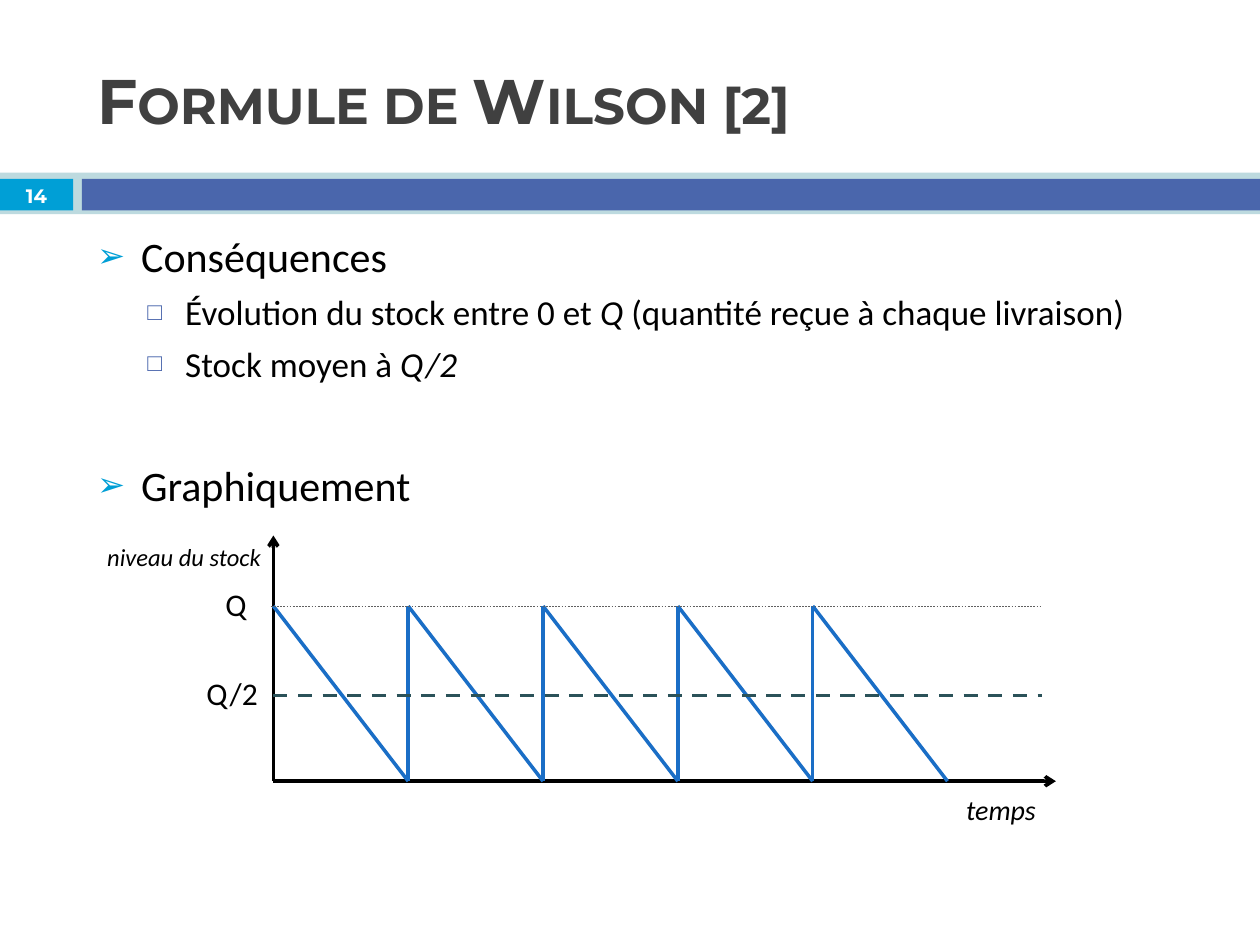
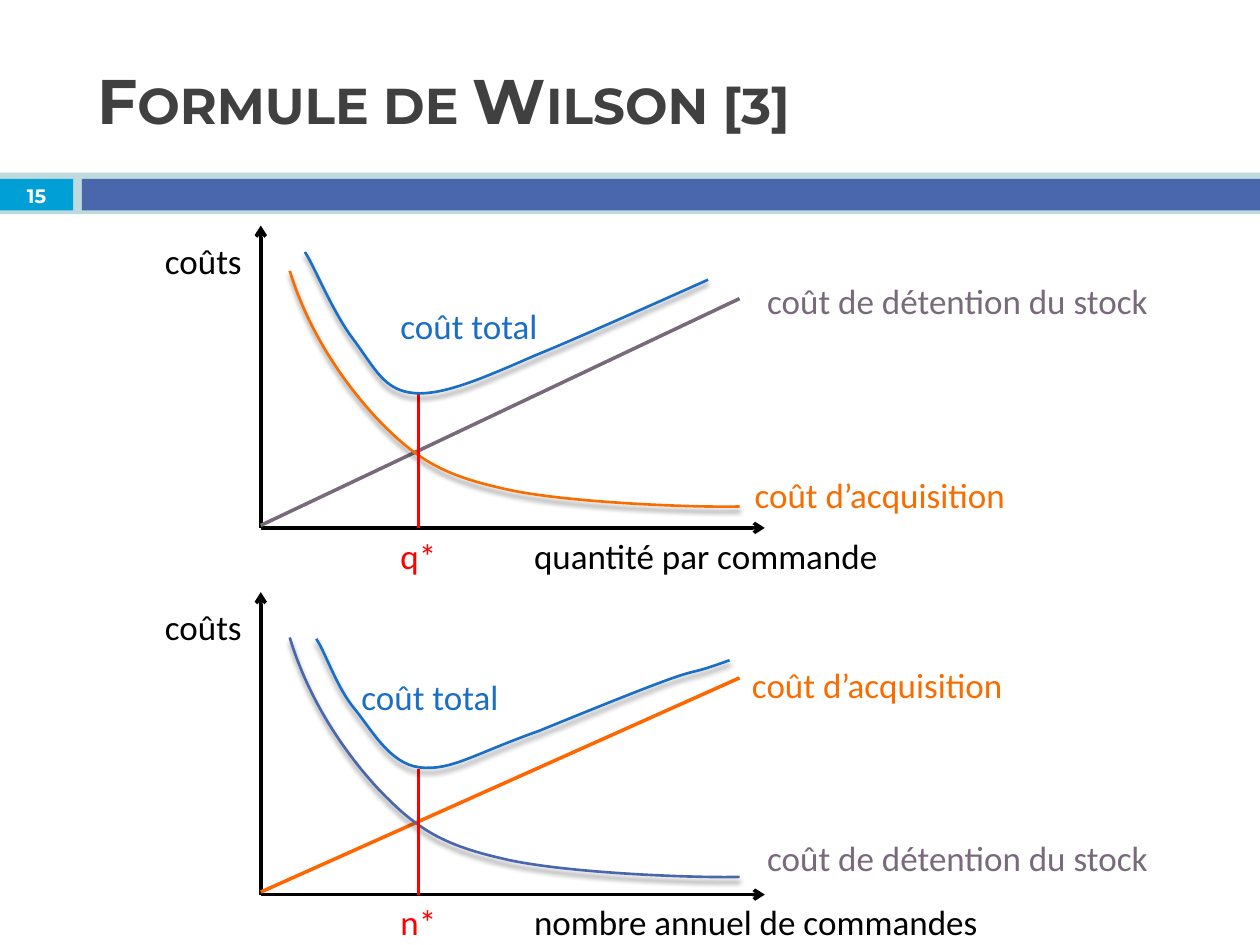
from lxml import etree
from pptx import Presentation
from pptx.dml.color import RGBColor
from pptx.enum.dml import MSO_LINE
from pptx.enum.shapes import MSO_CONNECTOR, MSO_SHAPE
from pptx.enum.text import MSO_ANCHOR, MSO_AUTO_SIZE, PP_ALIGN
from pptx.oxml.ns import qn
from pptx.util import Inches, Pt

DASH = MSO_LINE.DASH
STRAIGHT = MSO_CONNECTOR.STRAIGHT
RECTANGLE = MSO_SHAPE.RECTANGLE
MIDDLE = MSO_ANCHOR.MIDDLE
LEFT, CENTER, RIGHT = PP_ALIGN.LEFT, PP_ALIGN.CENTER, PP_ALIGN.RIGHT
NO_FIT, GROW = MSO_AUTO_SIZE.NONE, MSO_AUTO_SIZE.SHAPE_TO_FIT_TEXT
TITLE_AND_CONTENT, TITLE_ONLY = 1, 5

COLORS = {
    "band": "BDDADF", "cyan": "009FD6", "indigo": "4A66AC", "title": "404040",
    "white": "FFFFFF", "black": "000000", "blue": "1A6EC6", "teal": "2B5259",
    "gray": "606060", "orange": "F76D00", "bright_orange": "FF6600",
    "mauve": "78697B", "red": "FF0000",
}
BANDS = [
    (0, 1.37, 10, 0.33, "band"),
    (0, 1.42, 0.58, 0.25, "cyan"),
    (0.65, 1.42, 9.35, 0.25, "indigo"),
]
LEVELS = [
    {"bullet": "➢", "color": "cyan", "percent": 80, "size": 24,
     "margin": 0.35, "indent": -0.35, "before": 7},
    {"bullet": "□", "color": "indigo", "percent": 70, "size": 20,
     "margin": 0.7, "indent": -0.3, "before": 5.5},
]


def rgb(name):
    return RGBColor.from_string(COLORS[name])


def add_xml(parent, tag, **attributes):
    values = {key: str(value) for key, value in attributes.items()}
    return etree.SubElement(parent, qn(tag), values)


class Deck:
    """Hold the shared style and the slide being drawn."""

    def __init__(self):
        self.presentation = Presentation()
        self.presentation.slide_width = Inches(10)
        self.presentation.slide_height = Inches(7.5)
        self.slide = None
        self.shapes = None

    def format_run(self, run, size, color, font="Calibri", bold=False, italic=False):
        run.font.name = font
        run.font.size = Pt(size)
        run.font.bold = bold
        run.font.italic = italic
        run.font.color.rgb = rgb(color)

    def place(self, shape, left, top, width, height):
        shape.left, shape.top = Inches(left), Inches(top)
        shape.width, shape.height = Inches(width), Inches(height)

    def new_slide(self, layout, title, number):
        self.slide = self.presentation.slides.add_slide(
            self.presentation.slide_layouts[layout])
        self.shapes = self.slide.shapes
        shape = self.shapes.title
        self.place(shape, 0.67, 0.25, 8.92, 1.08)
        frame = shape.text_frame
        frame.text = title
        frame.auto_size = NO_FIT
        frame.vertical_anchor = MIDDLE
        paragraph = frame.paragraphs[0]
        paragraph.alignment = LEFT
        run = paragraph.runs[0]
        self.format_run(run, 36, "title", "Montserrat", bold=True)
        run.font._element.set("cap", "small")
        box = self.label(str(number), 0, 1.42, 0.58, 0.27, 11.1, "white",
                         align=CENTER, font="Montserrat", bold=True)
        box.text_frame.auto_size = NO_FIT
        box.text_frame.word_wrap = True
        box.text_frame.vertical_anchor = MIDDLE

    def start_group(self):
        self.shapes = self.slide.shapes.add_group_shape().shapes

    def end_group(self):
        self.shapes = self.slide.shapes

    def master_bands(self):
        tree = self.presentation.slide_master.element.cSld.spTree
        for index, (left, top, width, height, color) in enumerate(BANDS):
            shape = self.rectangle(left, top, width, height, color)
            shape._element.nvSpPr.cNvPr.set("id", str(101 + index))
            tree.insert(2 + index, shape._element)

    def rectangle(self, left, top, width, height, color):
        shape = self.shapes.add_shape(
            RECTANGLE, Inches(left), Inches(top), Inches(width), Inches(height))
        shape.shadow.inherit = False
        shape.fill.solid()
        shape.fill.fore_color.rgb = rgb(color)
        shape.line.fill.background()
        return shape

    def label(self, text, left, top, width, height=0.44, size=20, color="black",
              align=LEFT, **style):
        box = self.shapes.add_textbox(
            Inches(left), Inches(top), Inches(width), Inches(height))
        frame = box.text_frame
        frame.text = text
        frame.word_wrap = False
        frame.auto_size = GROW
        frame.paragraphs[0].alignment = align
        self.format_run(frame.paragraphs[0].runs[0], size, color, **style)
        return box

    def bullets(self, items):
        body = self.slide.placeholders[1]
        self.place(body, 0.67, 1.78, 8.9, 5.28)
        frame = body.text_frame
        frame.text = "\n".join("".join(parts) for _, parts, _ in items)
        frame.auto_size = NO_FIT
        for paragraph, (level, parts, gap) in zip(frame.paragraphs, items):
            style = LEVELS[level]
            paragraph.level = level
            paragraph.space_before = Pt(style["before"] + gap)
            paragraph.runs[0].text = parts[0]
            for part in parts[1:]:
                paragraph.add_run().text = part
            for index, run in enumerate(paragraph.runs):
                self.format_run(run, style["size"], "black", italic=index % 2 == 1)
            properties = paragraph._p.get_or_add_pPr()
            properties.set("marL", str(Inches(style["margin"])))
            properties.set("indent", str(Inches(style["indent"])))
            bullet_color = add_xml(properties, "a:buClr")
            add_xml(bullet_color, "a:srgbClr", val=COLORS[style["color"]])
            add_xml(properties, "a:buSzPct", val=style["percent"] * 1000)
            add_xml(properties, "a:buChar", char=style["bullet"])

    def line(self, start, end, color, width=2, dash=None, arrow=False):
        connector = self.shapes.add_connector(
            STRAIGHT, *(Inches(value) for value in (*start, *end)))
        connector.line.color.rgb = rgb(color)
        connector.line.width = Pt(width)
        if dash:
            connector.line.dash_style = dash
        if arrow:
            add_xml(connector.line._get_or_add_ln(), "a:tailEnd", type="arrow")
        add_xml(connector._element.spPr, "a:effectLst")

    def axes(self, left, base, right, top):
        for end in ((left, top), (right, base)):
            self.line((left, base), end, "black", arrow=True)

    def curve(self, start, segments, color):
        knots = [(Inches(x), Inches(y))
                 for x, y in (start, *(segment[4:] for segment in segments))]
        builder = self.shapes.build_freeform(*knots[0])
        builder.add_line_segments(knots[1:], close=False)
        shape = builder.convert_to_shape()
        left, top = (min(values) for values in zip(*knots))
        outline = shape._element.spPr.find(".//" + qn("a:path"))
        for straight in outline.findall(qn("a:lnTo")):
            outline.remove(straight)
        for segment in segments:
            bezier = add_xml(outline, "a:cubicBezTo")
            for x, y in zip(segment[::2], segment[1::2]):
                add_xml(bezier, "a:pt", x=Inches(x) - left, y=Inches(y) - top)
        shape.fill.background()
        shape.line.color.rgb = rgb(color)
        shape.line.width = Pt(1.5)
        shape.shadow.inherit = False
        effects = shape._element.spPr.find(qn("a:effectLst"))
        shadow = add_xml(effects, "a:outerShdw", blurRad=Pt(3), dist=Pt(2.4),
                         dir=90 * 60000, rotWithShape=0)
        shadow_color = add_xml(shadow, "a:srgbClr", val=COLORS["black"])
        add_xml(shadow_color, "a:alpha", val=45000)

    def cost_graph(self, base, rising_color, rising_height, falling_color,
                   falling_height, optimum, optimum_height, quantity, quantity_width):
        left, right, optimum_x = 2.07, 5.87, 3.32
        self.axes(left, base, 6.07, base - 2.4)
        self.line((left, base - 0.02), (right, base - rising_height), rising_color)
        top = base - 2.04
        y = [top + falling_height * drop / 1.9
             for drop in (0.5, 0.92, 1.21, 1.5, 1.64, 1.75, 1.87, 1.91, 1.9)]
        self.curve((2.3, top), [
            (2.45, y[0], 2.74, y[1], 3.01, y[2]),
            (3.29, y[3], 3.49, y[4], 3.97, y[5]),
            (4.44, y[6], 5.53, y[7], right, y[8]),
        ], falling_color)
        self.line((optimum_x, base), (optimum_x, base - optimum_height), "red")
        self.label(optimum, 3.08, base, 0.5, color="red")
        self.label(quantity, 4.14, base, quantity_width)
        self.label("coûts", 1.21, base - 2.34, 0.85)

    def cost_labels(self, total, acquisition, holding):
        self.label("coût d’acquisition", *acquisition, 2.3, color="orange")
        self.label("coût total", *total, 1.37, color="blue")
        self.label("coût de détention du stock", *holding, 3.32, color="mauve")


def stock_slide(deck):
    deck.new_slide(TITLE_AND_CONTENT, "Formule de Wilson [2]", 14)
    deck.master_bands()
    deck.bullets([
        (0, ["Conséquences"], 0),
        (1, ["Évolution du stock entre 0 et ", "Q",
             " (quantité reçue à chaque livraison)"], 0),
        (1, ["Stock moyen à ", "Q/2"], 0),
        (0, ["Graphiquement"], 36),
    ])
    left, base, full, period, cycles = 2.17, 6.2, 4.81, 1.07, 5
    deck.start_group()
    deck.axes(left, base, 8.38, 4.25)
    for cycle in range(cycles):
        start = left + cycle * period
        if cycle:
            deck.line((start, base), (start, full), "blue")
        deck.line((start, full), (start + period, base), "blue")
    deck.label("Q", 1.69, 4.59, 0.38, 0.4, 18)
    deck.line((left, 5.52), (8.27, 5.52), "teal", dash=DASH)
    deck.label("Q/2", 1.54, 5.3, 0.62, 0.4, 18)
    deck.label("temps", 7.57, 6.24, 0.76, 0.37, 16, italic=True)
    deck.line((2.15, full), (8.27, full), "gray", width=0.25, dash=DASH)
    deck.label("niveau du stock", 0.69, 4.25, 1.48, 0.34, 14, align=RIGHT, italic=True)
    deck.end_group()


def cost_slide(deck):
    deck.new_slide(TITLE_ONLY, "Formule de Wilson [3]", 15)
    deck.start_group()
    deck.cost_graph(7.1, "bright_orange", 1.72, "indigo", 1.9, "n*", 1,
                    "nombre annuel de commandes", 3.87)
    deck.cost_labels((2.77, 5.31), (5.87, 5.22), (5.99, 6.59))
    deck.curve((2.51, 5.07), [
        (2.58, 5.17, 2.67, 5.45, 2.81, 5.62),
        (2.95, 5.79, 3.09, 6.06, 3.33, 6.09),
        (3.58, 6.12, 3.77, 5.98, 4.28, 5.8),
        (5.82, 5.17, 5.27, 5.43, 5.79, 5.24),
    ], "blue")
    deck.end_group()
    deck.cost_graph(4.19, "mauve", 1.82, "orange", 1.87, "q*", 1.06,
                    "quantité par commande", 3.09)
    deck.curve((2.42, 2), [
        (2.49, 2.1, 2.64, 2.48, 2.81, 2.7),
        (2.98, 2.93, 3.05, 3.1, 3.29, 3.12),
        (3.53, 3.14, 3.88, 2.98, 4.25, 2.82),
        (4.62, 2.67, 5.62, 2.22, 5.62, 2.22),
    ], "blue")
    deck.cost_labels((3.08, 2.37), (5.89, 3.71), (5.99, 2.17))


def main():
    deck = Deck()
    stock_slide(deck)
    cost_slide(deck)
    deck.presentation.save("out.pptx")


if __name__ == "__main__":
    main()
